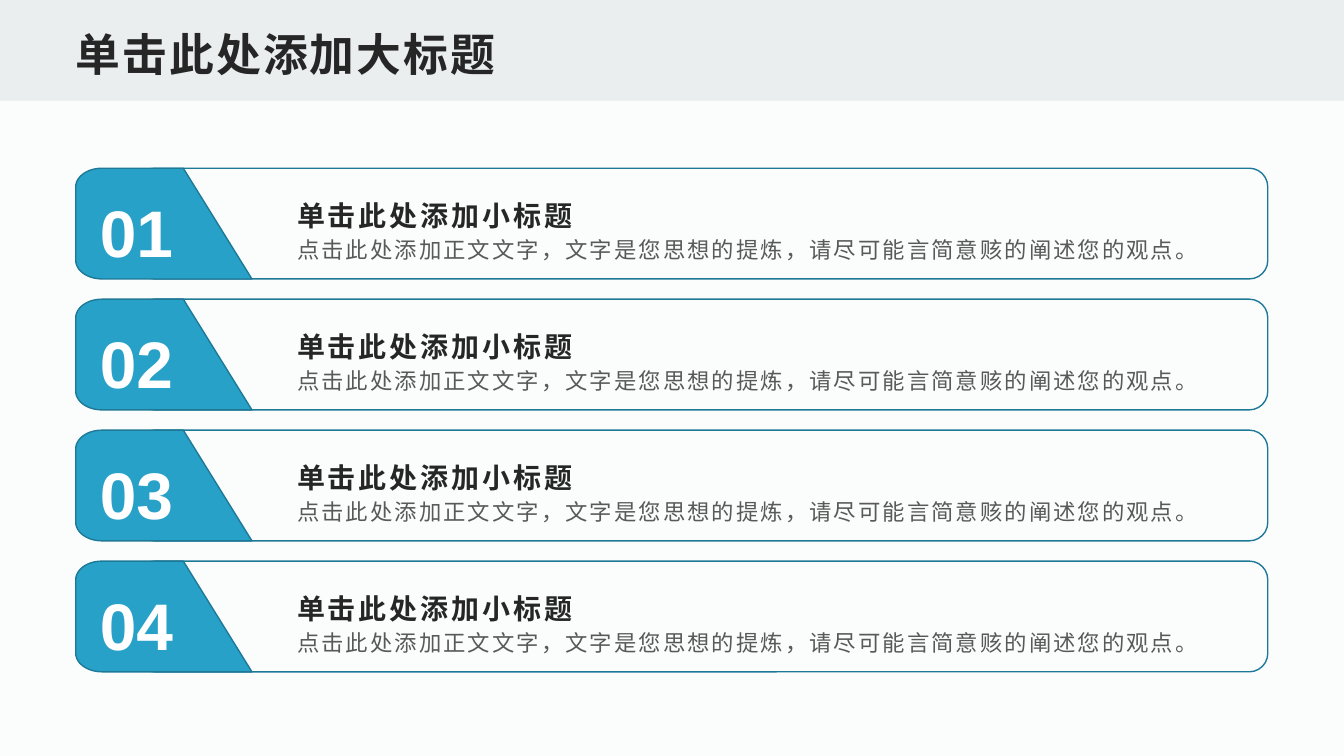
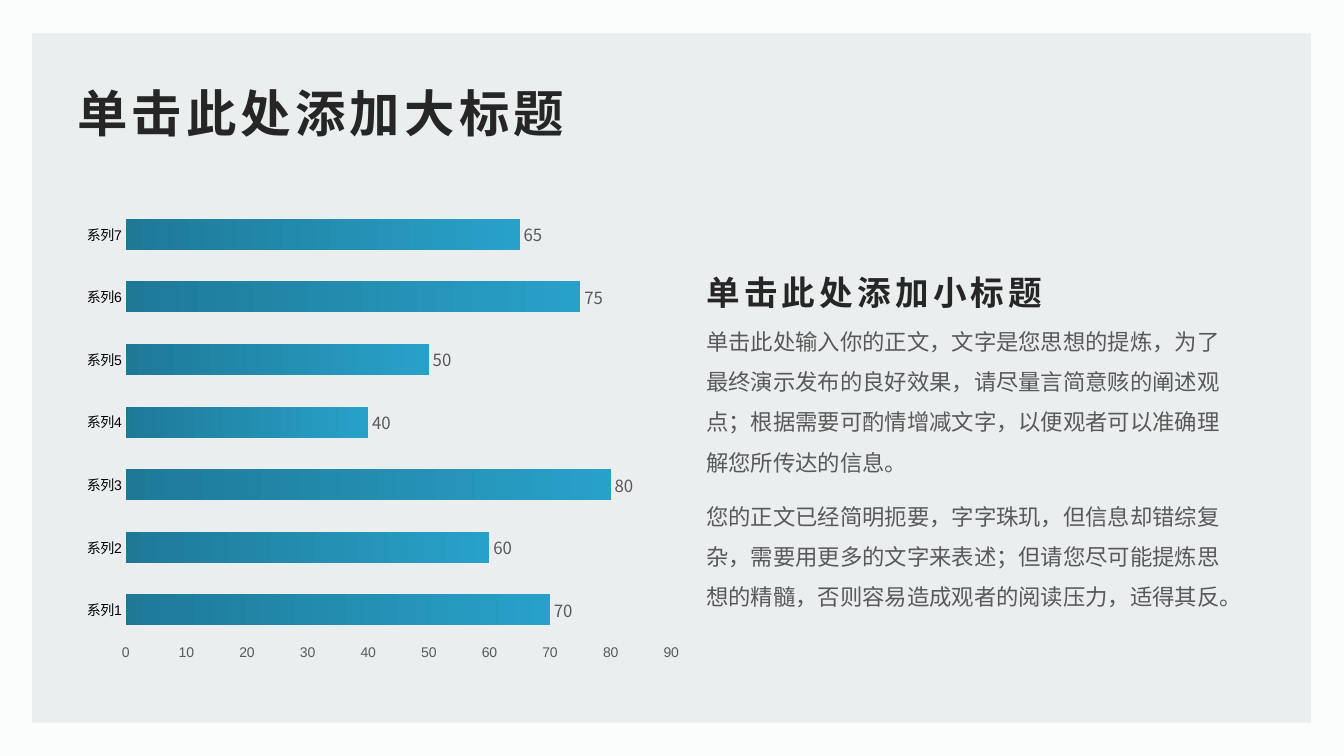
from math import cos, pi, sin

from lxml import etree
from pptx import Presentation
from pptx.chart.data import CategoryChartData
from pptx.dml.color import RGBColor
from pptx.enum.chart import XL_CHART_TYPE, XL_LABEL_POSITION, XL_TICK_MARK
from pptx.enum.dml import MSO_LINE
from pptx.enum.shapes import MSO_SHAPE
from pptx.enum.text import MSO_ANCHOR, PP_ALIGN
from pptx.oxml import parse_xml
from pptx.oxml.ns import nsdecls, qn
from pptx.util import Cm, Pt

RECT, ROUND = MSO_SHAPE.RECTANGLE, MSO_SHAPE.ROUNDED_RECTANGLE
TOP, MIDDLE, BOTTOM = MSO_ANCHOR.TOP, MSO_ANCHOR.MIDDLE, MSO_ANCHOR.BOTTOM
LEFT, CENTER = PP_ALIGN.LEFT, PP_ALIGN.CENTER
BARS = XL_CHART_TYPE.BAR_CLUSTERED
OUTSIDE = XL_LABEL_POSITION.OUTSIDE_END
NO_TICK = XL_TICK_MARK.NONE
DASH = MSO_LINE.DASH

FONT, CJK = "Arial", "Noto Sans CJK SC"
COLORS = {
    "page": "FBFCFC", "band": "EAEEEF", "blue": "28A1C9", "deep": "1E7997",
    "dark": "262626", "gray": "595959", "white": "FFFFFF", "black": "000000",
}

TITLE = "单击此处添加大标题"
HEAD = "单击此处添加小标题"
POINT = "点击此处添加正文文字，文字是您思想的提炼，请尽可能言简意赅的阐述您的观点。"
ROWS = [(number, HEAD, POINT) for number in ("01", "02", "03", "04")]
BODY = [
    "单击此处输入你的正文，文字是您思想的提炼，为了最终演示发布的良好效果，请尽量言简意赅的阐述观点；根据需要可酌情增减文字，以便观者可以准确理解您所传达的信息。",
    "您的正文已经简明扼要，字字珠玑，但信息却错综复杂，需要用更多的文字来表述；但请您尽可能提炼思想的精髓，否则容易造成观者的阅读压力，适得其反。",
]
VALUES = {
    "系列1": 70, "系列2": 60, "系列3": 80, "系列4": 40,
    "系列5": 50, "系列6": 75, "系列7": 65,
}
LAYOUT = {"x": 0.07, "y": 0.03, "w": 0.91, "h": 0.91}

WIDE, HIGH = 33.87, 19.05
ROW_TOP, ROW_STEP, ROW_HIGH = 4.24, 3.3, 2.79
TAB_LEFT, TAB_TOP, TAB_FOOT = 1.91, 4.62, 6.35
ROUND_X, ROUND_Y, STEPS = 0.66, 0.47, 12


def color(name):
    return RGBColor.from_string(COLORS[name])


def place(*box):
    return [Cm(size) for size in box]


def add_page(deck):
    slide = deck.slides.add_slide(deck.slide_layouts[6])
    slide.background.fill.solid()
    slide.background.fill.fore_color.rgb = color("page")
    return slide


def paint(shape, fill=None, line=None):
    shape.shadow.inherit = False
    if fill:
        shape.fill.solid()
        shape.fill.fore_color.rgb = color(fill)
    else:
        shape.fill.background()
    if line:
        shape.line.color.rgb = color(line)
        shape.line.width = Pt(1)
    else:
        shape.line.fill.background()


def add_box(slide, kind, box, fill=None, line=None):
    paint(slide.shapes.add_shape(kind, *place(*box)), fill, line)


def add_text(slide, box, lines, size, tone, bold=False, track=0,
             spacing=1.2, after=0, anchor=TOP, align=LEFT):
    frame = slide.shapes.add_textbox(*place(*box)).text_frame
    frame.word_wrap = True
    frame.vertical_anchor = anchor
    frame.text = "\n".join(lines)
    for para in frame.paragraphs:
        para.alignment = align
        para.line_spacing = spacing
        para.space_after = Pt(after)
        for run in para.runs:
            set_font(run.font, size, tone, bold)
            props = run.font._element
            props.set("lang", "zh-CN")
            props.set("spc", str(int(track * 100)))
            etree.SubElement(props, qn("a:ea")).set("typeface", CJK)
    return frame


def set_font(font, size, tone, bold=False, name=FONT):
    font.name, font.size, font.bold = name, Pt(size), bold
    font.color.rgb = color(tone)


def add_tab(slide, top):
    foot = top + ROW_HIGH
    arcs = [(foot - ROUND_Y, pi / 2), (top + ROUND_Y, pi)]
    points = [(TAB_FOOT, foot)]
    for mid, start in arcs:
        for step in range(STEPS + 1):
            angle = start + step * pi / 2 / STEPS
            points.append((TAB_LEFT + ROUND_X * (1 + cos(angle)),
                           mid + ROUND_Y * sin(angle)))
    path = slide.shapes.build_freeform(Cm(TAB_TOP), Cm(top))
    path.add_line_segments([place(*point) for point in points], close=True)
    paint(path.convert_to_shape(), "blue", "deep")


def add_row(slide, top, number, head, point):
    add_box(slide, ROUND, (3.43, top, 28.52, ROW_HIGH), line="deep")
    add_tab(slide, top)
    add_text(slide, (7.24, top + 1.45, 22.73, 1.02), [point], 16, "gray", track=1.5)
    add_text(slide, (7.24, top + 0.46, 22.73, 1.19), [head], 20, "dark", True, 2)
    add_text(slide, (2.26, top + 0.18, 2.36, 2.44), [number], 47, "white", True,
             anchor=MIDDLE, align=CENTER)


def add_bars(slide, box):
    data = CategoryChartData()
    data.categories = list(VALUES)
    data.add_series("Series 1", list(VALUES.values()))
    chart = slide.shapes.add_chart(BARS, *place(*box), data).chart
    chart.has_legend = chart.has_title = False
    set_font(chart.font, 10, "black")

    for axis, tone in ((chart.category_axis, "black"), (chart.value_axis, "gray")):
        axis.major_tick_mark = axis.minor_tick_mark = NO_TICK
        axis.format.line.fill.background()
        set_font(axis.tick_labels.font, 10, tone)
    scale = chart.value_axis
    scale.minimum_scale, scale.maximum_scale, scale.major_unit = 0, 90, 10
    scale.has_major_gridlines = True
    grid = scale.major_gridlines.format.line
    grid.color.rgb = color("white")
    grid.width, grid.dash_style = Pt(0.75), DASH
    for tint in chart.element.xpath(".//c:majorGridlines//a:srgbClr"):
        etree.SubElement(tint, qn("a:alpha")).set("val", "15000")

    plot = chart.plots[0]
    plot.gap_width, plot.vary_by_categories = 102, False
    series = plot.series[0]
    fill = series.format.fill
    fill.gradient()
    fill.gradient_angle = 0
    for stop, tone, spot in zip(fill.gradient_stops, ("deep", "blue"), (0, 1)):
        stop.color.rgb, stop.position = color(tone), spot
    labels = series.data_labels
    labels.show_value, labels.position = True, OUTSIDE
    set_font(labels.font, 12, "gray", name=CJK)

    area = chart.element.xpath(".//c:plotArea")[0]
    for old in area.findall(qn("c:layout")):
        area.remove(old)
    modes = "".join(f'<c:{side}Mode val="edge"/>' for side in "xy")
    sizes = "".join(f'<c:{side} val="{size}"/>' for side, size in LAYOUT.items())
    area.insert(0, parse_xml(
        f'<c:layout {nsdecls("c")}><c:manualLayout><c:layoutTarget val="inner"/>'
        f"{modes}{sizes}</c:manualLayout></c:layout>"))


def list_page(deck):
    slide = add_page(deck)
    add_box(slide, RECT, (0, 0, WIDE, 2.54), "band")
    frame = add_text(slide, (1.7, 0.43, 30.48, 1.7), [TITLE], 32, "dark", True,
                     1.5, spacing=1, anchor=BOTTOM)
    frame.margin_left = frame.margin_right = Cm(0.2)
    frame.margin_top = frame.margin_bottom = Cm(0.1)
    for index, row in enumerate(ROWS):
        add_row(slide, ROW_TOP + index * ROW_STEP, *row)


def chart_page(deck):
    slide = add_page(deck)
    add_box(slide, RECT, (0.81, 0.84, 32.23, 17.37), "band")
    add_bars(slide, (2.11, 4.75, 15.11, 12.14))
    add_text(slide, (17.55, 6.53, 13.77, 1.27), [HEAD], 24, "dark", True, 3)
    add_text(slide, (17.55, 7.8, 13.77, 7.67), BODY, 16, "gray", spacing=1.5, after=10)
    add_text(slide, (1.7, 1.7, 30.48, 1.96), [TITLE], 36, "dark", True, 3, anchor=MIDDLE)


def main():
    deck = Presentation()
    deck.slide_width, deck.slide_height = place(WIDE, HIGH)
    list_page(deck)
    chart_page(deck)
    deck.save("out.pptx")


if __name__ == "__main__":
    main()
